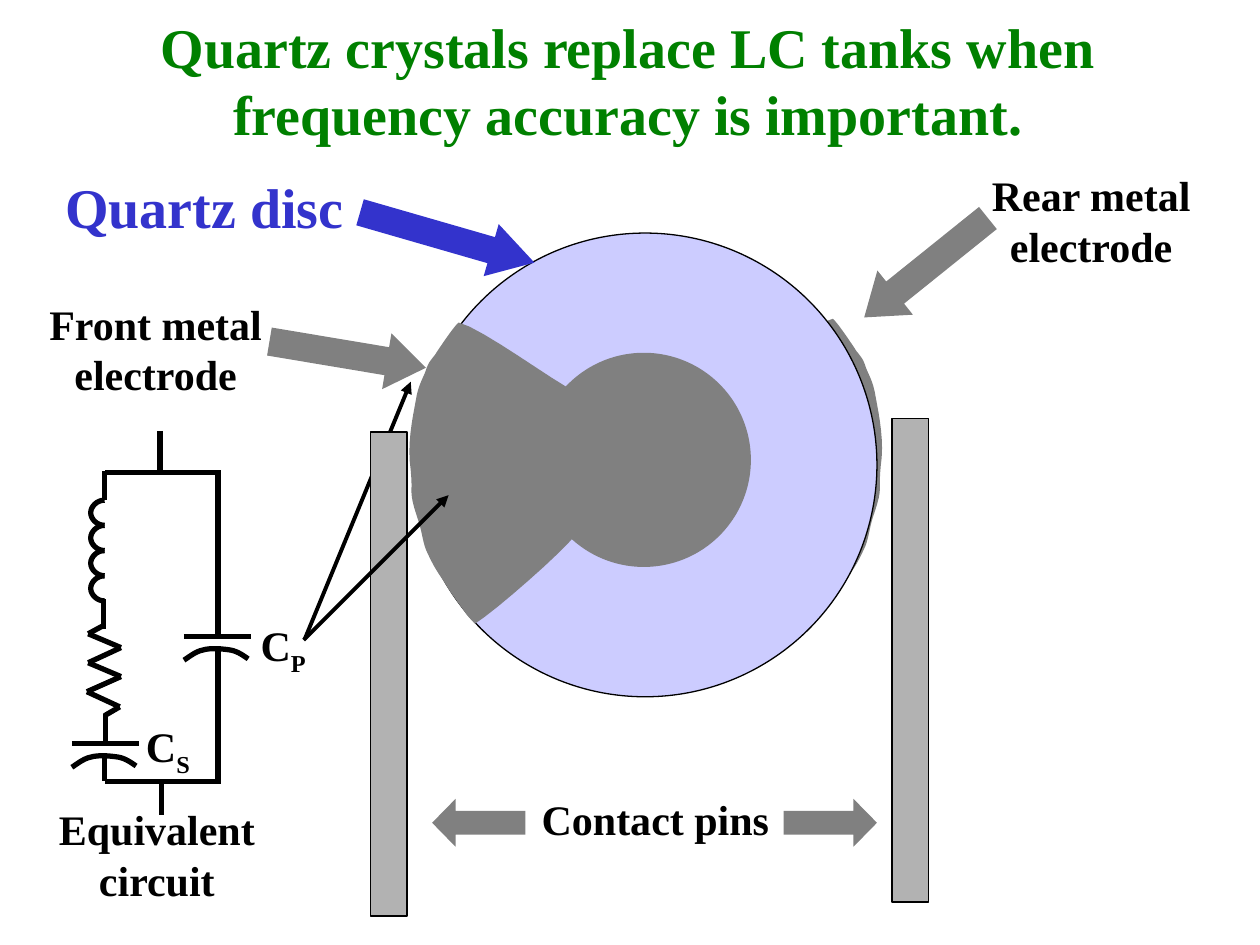
from itertools import pairwise
from lxml import etree
from pptx import Presentation
from pptx.dml.color import RGBColor
from pptx.enum.shapes import MSO_CONNECTOR, MSO_SHAPE
from pptx.enum.text import MSO_AUTO_SIZE, PP_ALIGN
from pptx.oxml.ns import qn
from pptx.util import Inches, Pt

RECT, OVAL = MSO_SHAPE.RECTANGLE, MSO_SHAPE.OVAL
LEFT, RIGHT = MSO_SHAPE.LEFT_ARROW, MSO_SHAPE.RIGHT_ARROW
STRAIGHT = MSO_CONNECTOR.STRAIGHT
FIT = MSO_AUTO_SIZE.SHAPE_TO_FIT_TEXT
START, CENTER = PP_ALIGN.LEFT, PP_ALIGN.CENTER
color = RGBColor.from_string
BLACK, GREY, SILVER = "000000", "808080", "B2B2B2"
GREEN, BLUE, PALE = "008000", "3333CC", "CCCCFF"

deck = Presentation()
deck.slide_width, deck.slide_height = Inches(10), Inches(7.5)
slide = deck.slides.add_slide(deck.slide_layouts[6])
shapes = slide.shapes


def draw(kind, place, fill=None, edge=None, width=0.75):
    """Add a preset in a box, or, with no kind, a chain of Bezier curves."""
    if kind:
        shape = shapes.add_shape(kind, *map(Inches, place))
    else:
        path = []
        for i in range(0, len(place) - 1, 3):
            for step in range(1, 9):
                t = step / 8
                mix = ((1 - t) ** 3, 3 * t * (1 - t) ** 2, 3 * t * t * (1 - t), t ** 3)
                path.append([Inches(sum(m * p[k] for m, p in zip(mix, place[i:i + 4])))
                             for k in (0, 1)])
        pen = shapes.build_freeform(*map(Inches, place[0]), scale=1.0)
        pen.add_line_segments(path, close=bool(fill))
        shape = pen.convert_to_shape()
    shape.shadow.inherit = False
    if fill:
        shape.fill.solid()
        shape.fill.fore_color.rgb = color(fill)
    else:
        shape.fill.background()
    if edge:
        shape.line.color.rgb = color(edge)
        shape.line.width = Pt(width)
    else:
        shape.line.fill.background()
    return shape


def wire(x1, y1, x2, y2, width=3, head=False):
    """Add a straight black line, with an arrowhead if asked."""
    line = shapes.add_connector(STRAIGHT, *map(Inches, (x1, y1, x2, y2)))
    line.line.color.rgb = color(BLACK)
    line.line.width = Pt(width)
    if head:
        etree.SubElement(line.line._get_or_add_ln(), qn("a:tailEnd"), type="triangle")
    etree.SubElement(line._element.spPr, qn("a:effectLst"))


# Pointer behind the left pin, then the pin
wire(2.42, 5.07, 3.26, 3.03, 2.25, True)
draw(RECT, (2.94, 3.43, 0.29, 3.84), SILVER, BLACK)

# Rear electrode, disc, and front electrode as the mirrored rear one
rear = [(5.68, 3.08),
        (5.84, 3.01), (6.43, 2.57), (6.61, 2.53),
        (6.65, 2.56), (6.8, 2.79), (6.8, 2.79),
        (6.84, 2.84), (6.85, 2.85), (6.87, 2.91),
        (6.89, 2.97), (6.93, 3.02), (6.95, 3.15),
        (6.98, 3.31), (7.02, 3.51), (6.99, 3.7),
        (6.97, 3.9), (7.01, 3.86), (6.94, 4.07),
        (6.9, 4.18), (6.9, 4.25), (6.87, 4.33),
        (6.83, 4.42), (6.8, 4.48), (6.73, 4.58),
        (6.67, 4.68), (6.65, 4.7), (6.61, 4.76),
        (6.56, 4.82), (6.57, 4.83), (6.48, 4.92),
        (6.32, 4.82), (5.78, 4.35), (5.66, 4.19),
        (5.55, 4.03), (5.74, 4.02), (5.79, 3.94),
        (5.82, 3.83), (5.86, 3.73), (5.92, 3.63),
        (5.94, 3.52), (5.92, 3.41), (5.82, 3.35),
        (5.78, 3.22), (5.84, 3.36), (5.75, 3.26),
        (5.72, 3.22), (5.68, 3.15), (5.68, 3.15),
        (5.66, 3.09), (5.65, 3.11), (5.68, 3.08)]
front = [(10.25 - x, y + 0.03) for x, y in rear]
draw(OVAL, (4.28, 2.77, 1.7, 1.7), GREY)
draw(None, rear, GREY)
draw(OVAL, (3.28, 1.85, 3.68, 3.68), PALE, BLACK)
draw(OVAL, (4.26, 2.8, 1.7, 1.7), GREY)
draw(None, front, GREY)

# Right pin
draw(RECT, (7.08, 3.32, 0.29, 3.84), SILVER, BLACK)

# Block arrows
for kind, box, turn, tip, fill in [
        (RIGHT, (2.83, 1.67, 1.44, 0.43), 16.1, 0.83, BLUE),
        (LEFT, (6.72, 1.9, 1.26, 0.45), 321.2, 0.7, GREY),
        (RIGHT, (2.13, 2.59, 1.26, 0.45), 9.5, 0.7, GREY),
        (LEFT, (3.43, 6.34, 0.74, 0.38), 0, 0.49, GREY),
        (RIGHT, (6.22, 6.34, 0.74, 0.38), 0, 0.49, GREY)]:
    arrow = draw(kind, box, fill)
    arrow.rotation = turn
    arrow.adjustments[1] = tip

# Inductor: four half turns
for i in range(4):
    x, y = 0.83, 3.97 + 0.2 * i
    draw(None, [(x, y), (x - 0.06, y), (x - 0.11, y + 0.05), (x - 0.11, y + 0.1),
                (x - 0.11, y + 0.15), (x - 0.06, y + 0.2), (x, y + 0.2)],
         edge=BLACK, width=3)

# Resistor zigzag
zigzag = [(0.83, 4.96), (0.7, 5.03), (0.96, 5.14), (0.7, 5.26),
          (0.96, 5.37), (0.69, 5.49), (0.95, 5.61), (0.83, 5.68)]
for a, b in pairwise(zigzag):
    wire(*a, *b)

# Capacitors: flat plate over curved plate
plate = [(0, 0.19), (0.02, 0.18), (0.09, 0.12), (0.15, 0.11),
         (0.21, 0.09), (0.31, 0.1), (0.37, 0.11),
         (0.43, 0.12), (0.48, 0.16), (0.51, 0.18)]
for x, y in [(0.57, 5.9), (1.46, 5.05)]:
    wire(x, y, x + 0.53, y)
    draw(None, [(x + dx, y + dy) for dx, dy in plate], edge=BLACK, width=3)

# Circuit wires
for ends in [(1.27, 3.42, 1.27, 3.74), (1.75, 3.75, 0.83, 3.75),
             (0.83, 3.97, 0.83, 3.74), (0.82, 4.99, 0.82, 4.75),
             (1.73, 5.16, 1.73, 6.22), (1.73, 3.76, 1.73, 5.04),
             (1.74, 6.2, 0.83, 6.2), (1.28, 6.2, 1.28, 6.47),
             (0.84, 5.67, 0.84, 5.9), (0.83, 5.99, 0.83, 6.2)]:
    wire(*ends)

# Title and labels; a second item in a line is its subscript
for box, size, ink, align, lines in [
        ((1.01, 0.05, 7.95, 1.17), 32, GREEN, CENTER,
         [["Quartz crystals replace LC tanks when"], ["frequency accuracy is important."]]),
        ((0.42, 1.32, 2.5, 0.64), 32, BLUE, START, [["Quartz disc"]]),
        ((7.72, 1.3, 1.88, 0.9), 24, BLACK, CENTER, [["Rear metal"], ["electrode"]]),
        ((0.24, 2.32, 1.99, 0.9), 24, BLACK, CENTER, [["Front metal"], ["electrode"]]),
        ((4.2, 6.25, 2.1, 0.5), 24, BLACK, START, [["Contact pins"]]),
        ((0.32, 6.33, 1.85, 0.9), 24, BLACK, CENTER, [["Equivalent"], ["circuit"]]),
        ((1.97, 4.87, 0.62, 0.56), 24, BLACK, START, [["C", "P"]]),
        ((1.06, 5.67, 0.62, 0.56), 24, BLACK, START, [["C", "S"]])]:
    frame = shapes.add_textbox(*map(Inches, box)).text_frame
    frame.word_wrap = False
    frame.auto_size = FIT
    for i, line in enumerate(lines):
        para = frame.add_paragraph() if i else frame.paragraphs[0]
        para.alignment = align
        for j, text in enumerate(line):
            run = para.add_run()
            run.text = text
            font = run.font
            font.name, font.size, font.bold = "Times New Roman", Pt(size), True
            font.color.rgb = color(ink)
            if j:
                font._element.set("baseline", "-25000")

# Pointer in front
wire(2.41, 5.08, 3.56, 3.93, 2.25, True)

deck.save("out.pptx")
